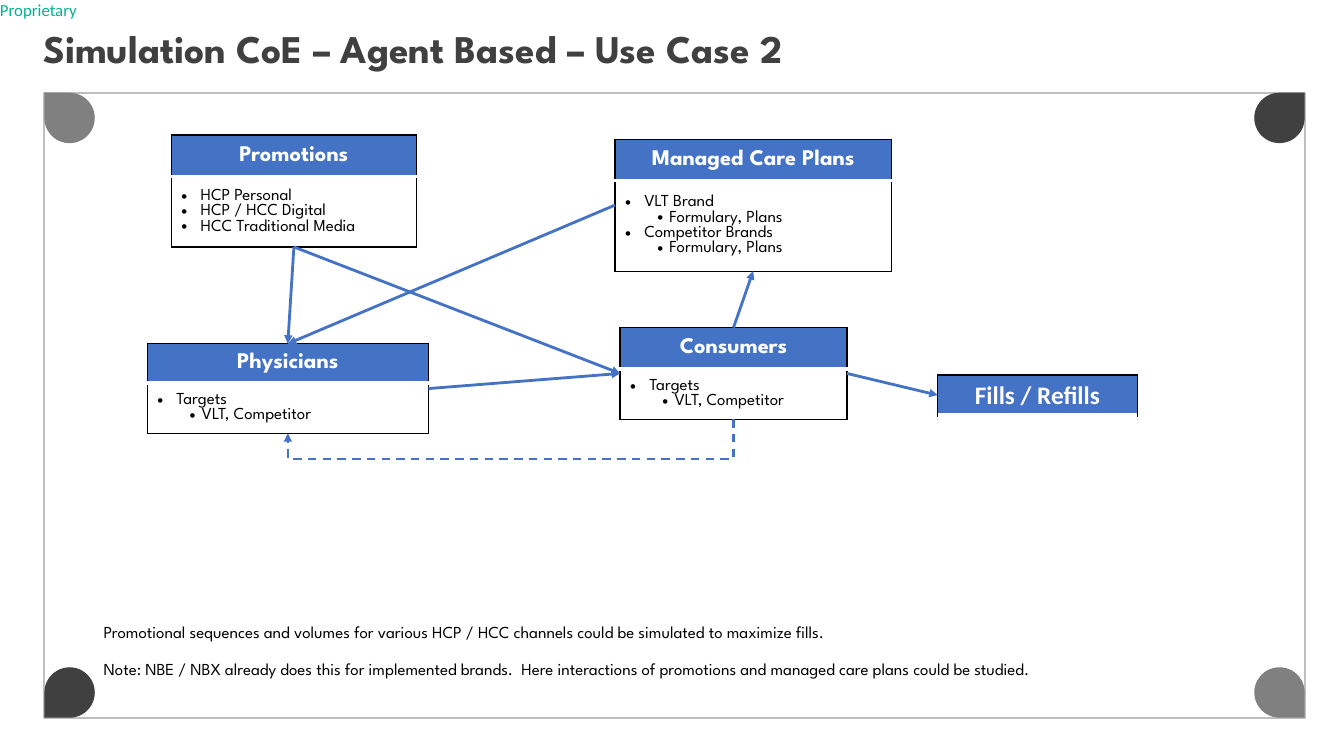
from lxml import etree
from pptx import Presentation
from pptx.dml.color import RGBColor
from pptx.enum.dml import MSO_LINE_DASH_STYLE as DASH
from pptx.enum.shapes import MSO_CONNECTOR as CONNECTOR, MSO_SHAPE as SHAPE
from pptx.enum.text import MSO_ANCHOR as ANCHOR, PP_ALIGN as ALIGN
from pptx.oxml.ns import qn
from pptx.util import Inches, Pt

COLORS = {"blue": "4472C4", "black": "000000", "white": "FFFFFF", "dark": "404040",
          "gray": "808080", "frame": "BFBFBF", "teal": "00B294"}
SPARTAN, CALIBRI = "League Spartan", "Calibri"

LABEL = "Proprietary"
TITLE = "Simulation CoE – Agent Based – Use Case 2"
NOTES = [
    "Promotional sequences and volumes for various HCP / HCC channels could be simulated to maximize fills.",
    "Note: NBE / NBX already does this for implemented brands.  Here interactions of promotions "
    "and managed care plans could be studied.",
]
FRAME = (0.44, 0.92, 12.5, 6.2)
DROP = 0.5
BULLETS = [(0.19, -0.19), (0.44, -0.12)]
AGENTS = {
    "Physicians": ((1.46, 3.41, 2.79), (0.39, 0.5), [(0, "Targets"), (1, "VLT, Competitor")]),
    "Consumers": ((6.15, 3.25, 2.25), (0.41, 0.5), [(0, "Targets"), (1, "VLT, Competitor")]),
    "Promotions": ((1.7, 1.34, 2.43), (0.41, 0.7),
                   [(0, "HCP Personal"), (0, "HCP / HCC Digital"), (0, "HCC Traditional Media")]),
    "Managed Care Plans": ((6.1, 1.38, 2.74), (0.41, 0.9),
                           [(0, "VLT Brand"), (1, "Formulary, Plans"),
                            (0, "Competitor Brands"), (1, "Formulary, Plans")]),
    "Fills / Refills": ((9.3, 3.72, 1.98), (0.4,), []),
}
TOP, LEFT, BOTTOM, RIGHT = range(4)
FLOWS = [
    ("Consumers", TOP, "Managed Care Plans", BOTTOM),
    ("Physicians", RIGHT, "Consumers", LEFT),
    ("Promotions", BOTTOM, "Physicians", TOP),
    ("Managed Care Plans", LEFT, "Physicians", TOP),
    ("Consumers", RIGHT, "Fills / Refills", LEFT),
    ("Promotions", BOTTOM, "Consumers", LEFT),
]
FEEDBACK_DROP = 0.39


def rgb(name):
    return RGBColor.from_string(COLORS[name])


def child(parent, tag, **attrs):
    e = etree.SubElement(parent, qn(tag))
    for key, value in attrs.items():
        e.set(key, str(value))
    return e


def write(tf, text, size=12, font=SPARTAN, color="black", bold=False, align=None, level=None, after=None):
    p = tf.paragraphs[0]
    if p.runs:
        p = tf.add_paragraph()
    if level is not None:
        margin, indent = BULLETS[level]
        pPr = p._p.get_or_add_pPr()
        pPr.set("marL", str(Inches(margin)))
        pPr.set("indent", str(Inches(indent)))
        child(pPr, "a:buFont", typeface="Arial")
        child(pPr, "a:buChar", char="•")
    if align is not None:
        p.alignment = align
    if after is not None:
        p.space_after = Pt(after)
    r = p.add_run()
    r.text = text
    r.font.size, r.font.name, r.font.bold = Pt(size), font, bold
    r.font.color.rgb = rgb(color)


def text_box(s, box, lines, inset=True, **fmt):
    tf = s.shapes.add_textbox(*map(Inches, box)).text_frame
    tf.word_wrap = True
    if not inset:
        tf.margin_left = tf.margin_top = tf.margin_right = tf.margin_bottom = 0
    for line in lines:
        write(tf, line, **fmt)


def add_corner(s, left, top, rotation, color):
    sp = s.shapes.add_shape(SHAPE.TEAR, *map(Inches, (left, top, DROP, DROP)))
    sp.shadow.inherit = False
    sp.rotation = rotation
    sp.fill.solid()
    sp.fill.fore_color.rgb = rgb(color)
    sp.line.fill.background()


def style_cell(cell, top, bottom, fill=None):
    edges = [("L", "black", 1), ("R", "black", 1), ("T", *top), ("B", *bottom)]
    tcPr = cell._tc.get_or_add_tcPr()
    for side, color, width in edges:
        ln = child(tcPr, "a:ln" + side, w=Pt(width))
        child(child(ln, "a:solidFill"), "a:srgbClr", val=COLORS[color])
    if fill:
        cell.fill.solid()
        cell.fill.fore_color.rgb = rgb(fill)
    else:
        cell.fill.background()
    cell.vertical_anchor = ANCHOR.MIDDLE


def add_agent(s, name, place, heights, items):
    left, top, width = place
    frame = s.shapes.add_table(len(heights), 1, *map(Inches, (left, top, width, sum(heights))))
    table = frame.table
    table.first_row = table.horz_banding = False
    for row, height in zip(table.rows, heights):
        row.height = Inches(height)
    head = table.cell(0, 0)
    style_cell(head, ("black", 1), ("white", 3), "blue")
    size, font = (16, SPARTAN) if items else (18, CALIBRI)
    write(head.text_frame, name, size=size, font=font, color="white", bold=True, align=ALIGN.CENTER)
    if items:
        body = table.cell(1, 0)
        style_cell(body, ("white", 3), ("black", 1))
        for level, text in items:
            write(body.text_frame, text, level=level)
    return frame


def style_arrow(c, width, dash=None):
    c.line.color.rgb = rgb("blue")
    c.line.width = Pt(width)
    if dash:
        c.line.dash_style = dash
    child(c.line._get_or_add_ln(), "a:tailEnd", type="triangle")
    child(c._element.spPr, "a:effectLst")


def add_feedback(s, source, target):
    x1, y1 = source.left + source.width // 2, source.top + source.height
    x2, y2 = target.left + target.width // 2, target.top + target.height
    span, rise = x1 - x2, y2 - y1
    left, top = (x1 + x2 - rise) // 2, (y1 + y2 - span) // 2
    c = s.shapes.add_connector(CONNECTOR.ELBOW, left, top, left + rise, top + span)
    spPr = c._element.spPr
    spPr.find(qn("a:xfrm")).set("rot", "5400000")
    adjust = round(Inches(FEEDBACK_DROP) / rise * 100000)
    child(spPr.find(qn("a:prstGeom")).find(qn("a:avLst")), "a:gd", name="adj1", fmla=f"val {adjust}")
    style_arrow(c, 1.5, DASH.DASH)


def main():
    prs = Presentation()
    prs.slide_width, prs.slide_height = Inches(13.33), Inches(7.5)
    s = prs.slides.add_slide(prs.slide_layouts[6])

    text_box(s, (0, 0, 0.8, 0.2), [LABEL], inset=False, font=CALIBRI, color="teal")
    border = s.shapes.add_shape(SHAPE.RECTANGLE, *map(Inches, FRAME))
    border.shadow.inherit = False
    border.fill.background()
    border.line.color.rgb = rgb("frame")
    border.line.width = Pt(1.5)

    x, y, w, h = FRAME
    right, bottom = x + w - DROP, y + h - DROP
    for corner in [(x, y, 270, "gray"), (right, y, 0, "dark"),
                   (right, bottom, 90, "gray"), (x, bottom, 180, "dark")]:
        add_corner(s, *corner)

    text_box(s, (0.33, 0.19, 9.95, 0.57), [TITLE], size=28, color="dark", bold=True)
    text_box(s, (0.93, 6.12, 11.7, 0.67), NOTES, after=12)

    agents = {name: add_agent(s, name, *spec_) for name, spec_ in AGENTS.items()}
    for source, out_side, target, in_side in FLOWS:
        c = s.shapes.add_connector(CONNECTOR.STRAIGHT, 0, 0, 0, 0)
        c.begin_connect(agents[source], out_side)
        c.end_connect(agents[target], in_side)
        style_arrow(c, 2)
    add_feedback(s, agents["Consumers"], agents["Physicians"])

    prs.save("out.pptx")


if __name__ == "__main__":
    main()
